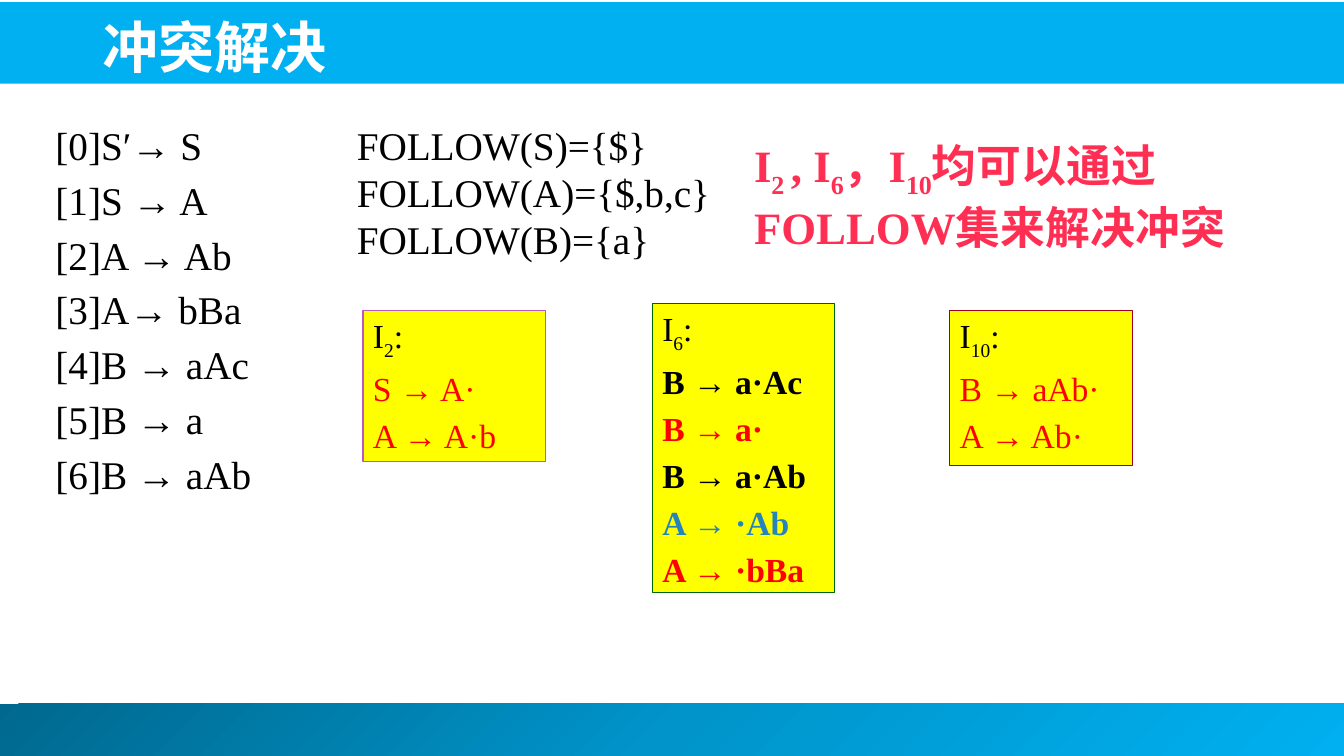
from copy import deepcopy

from pptx import Presentation
from pptx.dml.color import RGBColor
from pptx.enum.shapes import MSO_SHAPE
from pptx.enum.text import MSO_ANCHOR, MSO_AUTO_SIZE, PP_ALIGN
from pptx.oxml.ns import qn
from pptx.util import Inches, Pt
from lxml.etree import SubElement

SERIF = "Times New Roman"
SANS = "Noto Sans CJK JP"
BLACK, WHITE, RED, BLUE = "000000", "FFFFFF", "FF0000", "2584BB"
SKY, MIDDLE_BLUE, DEEP_BLUE = "00B0F0", "0094CA", "00688E"
YELLOW, ROSE = "FFFF00", "FF2F54"

GRAMMAR = ["[0]S′→ S", "[1]S → A", "[2]A → Ab", "[3]A→ bBa",
           "[4]B → aAc", "[5]B → a", "[6]B → aAb"]
FOLLOW_SETS = ["FOLLOW(S)={$}", "FOLLOW(A)={$,b,c}", "FOLLOW(B)={a}"]
NOTE = [("I", False), ("2 ", True), (", I", False), ("6", True),
        ("，I", False), ("10", True), ("均可以通过FOLLOW集来解决冲突", False)]
STATES = [
    ("2", (3.6, 3.08, 1.81, 1.5), "BB57BE", False,
     [("S → A·", RED), ("A → A·b", RED)]),
    ("6", (6.47, 3.01, 1.81, 2.87), "006600", True,
     [("B → a·Ac", BLACK), ("B → a·", RED), ("B → a·Ab", BLACK),
      ("A → ·Ab", BLUE), ("A → ·bBa", RED)]),
    ("10", (9.42, 3.08, 1.81, 1.54), "A4001D", False,
     [("B → aAb·", RED), ("A → Ab·", RED)]),
]


def rgb(value):
    return RGBColor.from_string(value)


def place(shape, bounds):
    shape.left, shape.top, shape.width, shape.height = map(Inches, bounds)


def format_span(span, size, color=BLACK, bold=False, font=SERIF):
    span.font.size = Pt(size)
    span.font.name = font
    span.font.bold = bold
    span.font.color.rgb = rgb(color)


def add_spans(para, spans, size, color=BLACK, bold=False):
    for text, lowered in spans:
        span = para.add_run()
        span.text = text
        format_span(span, size, color, bold)
        if lowered:
            span.font._element.set("baseline", "-25000")
        if not text.isascii():
            set_east_asian(span)


def set_east_asian(span):
    SubElement(span.font._element, qn("a:ea")).set("typeface", SANS)


def space_list(frame, size):
    for para in frame.paragraphs:
        para.alignment = PP_ALIGN.JUSTIFY
        para.space_before = Pt(size * 0.2)


def format_lines(frame, size):
    for para in frame.paragraphs:
        for span in para.runs:
            format_span(span, size)


def add_rectangle(page, bounds, fill):
    box = page.shapes.add_shape(MSO_SHAPE.RECTANGLE, *map(Inches, bounds))
    box.shadow.inherit = False
    box.fill.solid()
    box.fill.fore_color.rgb = rgb(fill)
    box.line.fill.background()
    return box


def add_bands(page):
    footer = add_rectangle(page, (-0.05, 6.98, 13.39, 0.52), DEEP_BLUE)
    footer.fill.gradient()
    footer.fill.gradient_angle = 315
    first = footer._element.spPr.find(".//" + qn("a:gs"))
    middle = deepcopy(first)
    middle.set("pos", "50000")
    first.addnext(middle)
    for stop, color in zip(footer.fill.gradient_stops,
                           (DEEP_BLUE, MIDDLE_BLUE, SKY)):
        stop.color.rgb = rgb(color)
    header = add_rectangle(page, (-0.02, 0.02, 13.36, 0.81), SKY)
    for index, band in enumerate((footer, header)):
        page.shapes._spTree.insert(2 + index, band._element)


def fill_title(page):
    title = page.shapes.title
    place(title, (0.92, 0.05, 11.58, 0.79))
    frame = title.text_frame
    frame.text = "冲突解决"
    frame.auto_size = MSO_AUTO_SIZE.NONE
    frame.vertical_anchor = MSO_ANCHOR.BOTTOM
    para = frame.paragraphs[0]
    para.alignment = PP_ALIGN.LEFT
    format_span(para.runs[0], 40, WHITE, True, SANS)
    set_east_asian(para.runs[0])


def fill_grammar(page):
    body = page.placeholders[1]
    place(body, (0.45, 1.15, 2.54, 4.33))
    frame = body.text_frame
    frame.text = "\n".join(GRAMMAR)
    frame.auto_size = MSO_AUTO_SIZE.NONE
    format_lines(frame, 28)
    space_list(frame, 28)
    for para in frame.paragraphs:
        properties = para._p.get_or_add_pPr()
        properties.set("marL", "0")
        properties.set("indent", "0")
        SubElement(properties, qn("a:buNone"))


def add_text_box(page, bounds, wrap):
    frame = page.shapes.add_textbox(*map(Inches, bounds)).text_frame
    frame.word_wrap = wrap
    frame.auto_size = MSO_AUTO_SIZE.SHAPE_TO_FIT_TEXT
    return frame


def add_state(page, number, bounds, outline, bold, items):
    box = add_rectangle(page, bounds, YELLOW)
    box.line.color.rgb = rgb(outline)
    box.line.width = Pt(1)
    frame = box.text_frame
    frame.word_wrap = True
    frame.vertical_anchor = MSO_ANCHOR.TOP
    add_spans(frame.paragraphs[0],
              [("I", False), (number, True), (":", False)], 24)
    for text, color in items:
        para = frame.add_paragraph()
        para.text = text
        format_span(para.runs[0], 24, color, bold)
    space_list(frame, 24)


def main():
    deck = Presentation()
    deck.slide_width, deck.slide_height = Inches(13.33), Inches(7.5)
    page = deck.slides.add_slide(deck.slide_layouts[1])
    add_bands(page)
    fill_title(page)
    fill_grammar(page)
    follow = add_text_box(page, (3.44, 1.15, 3.75, 1.51), False)
    follow.text = "\n".join(FOLLOW_SETS)
    format_lines(follow, 28)
    for state in STATES:
        add_state(page, *state)
    note = add_text_box(page, (7.38, 1.32, 5.51, 1.18), True)
    add_spans(note.paragraphs[0], NOTE, 32, ROSE, True)
    deck.save("out.pptx")


if __name__ == "__main__":
    main()
